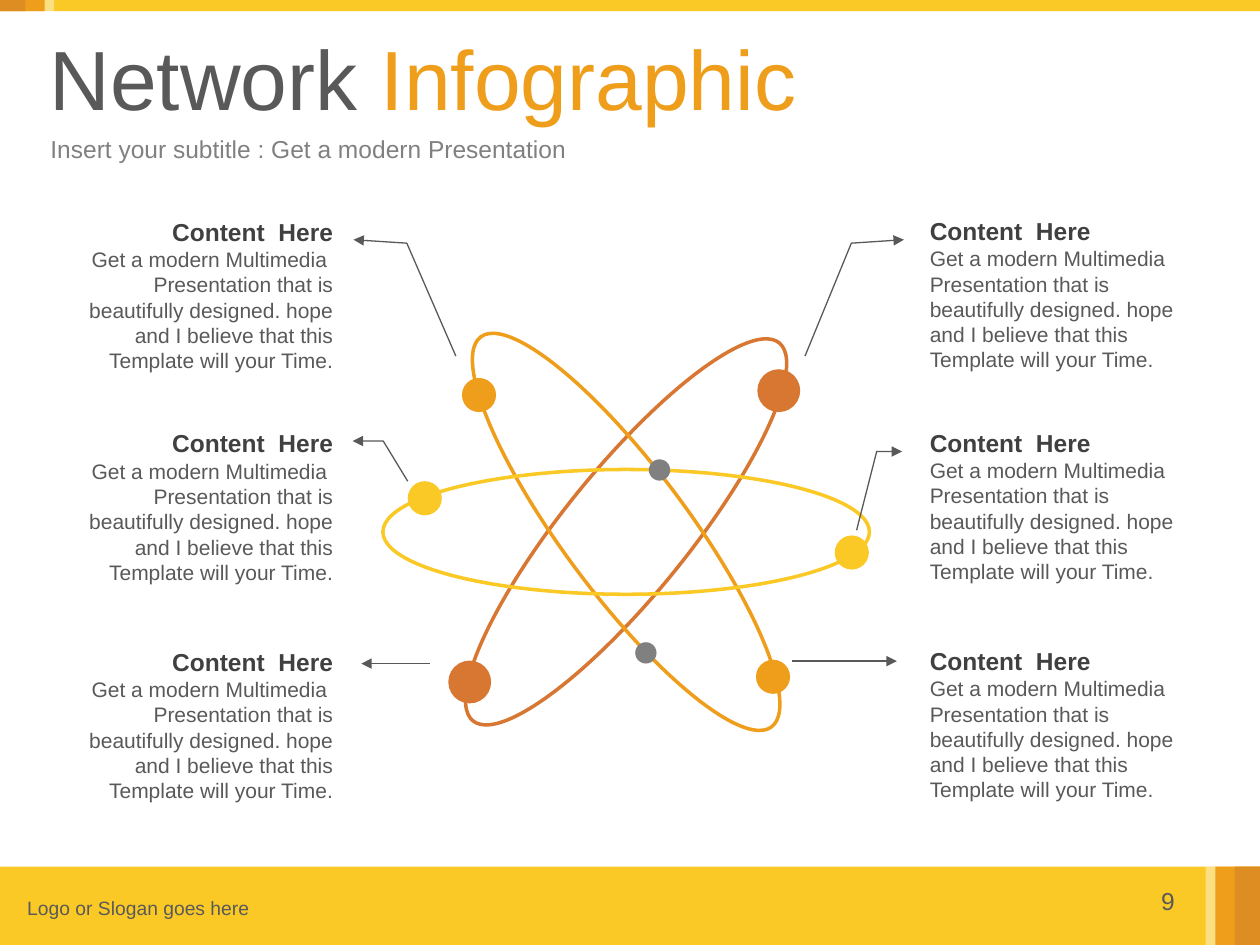
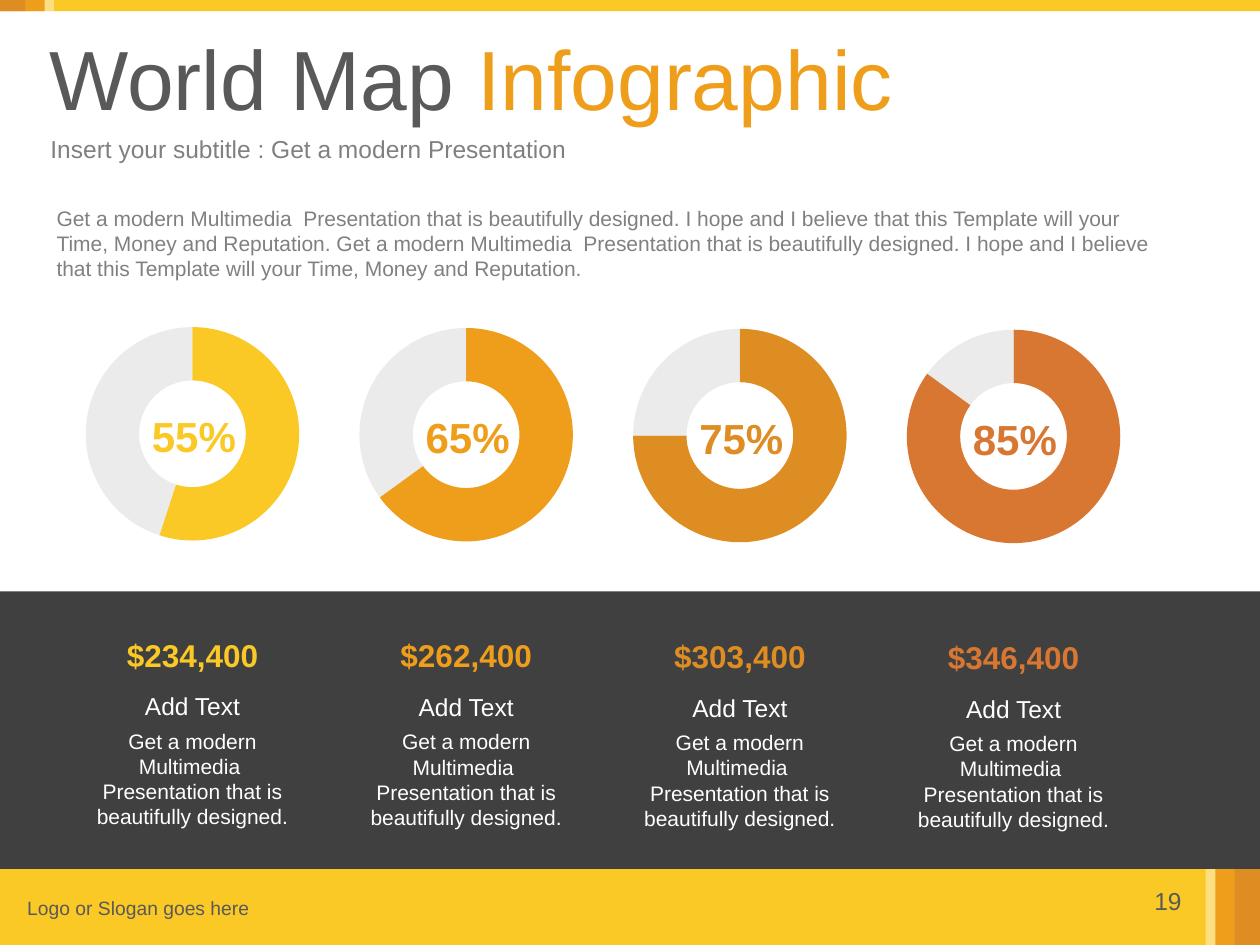
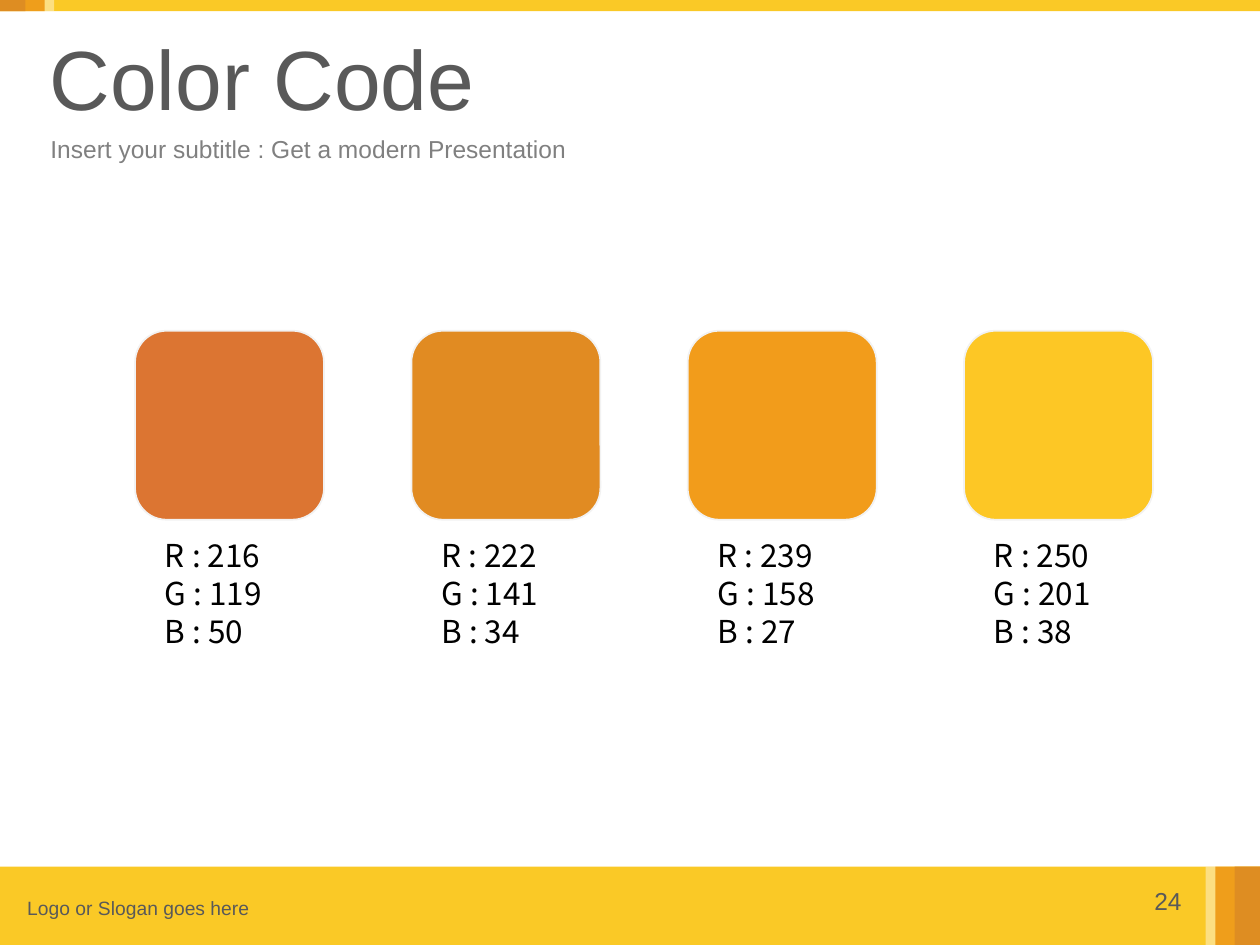
from dataclasses import dataclass

from lxml.etree import SubElement
from pptx import Presentation
from pptx.chart.data import CategoryChartData
from pptx.dml.color import RGBColor
from pptx.enum.chart import XL_CHART_TYPE
from pptx.enum.shapes import MSO_CONNECTOR, MSO_SHAPE
from pptx.enum.text import MSO_ANCHOR, MSO_AUTO_SIZE, PP_ALIGN
from pptx.oxml.ns import qn
from pptx.util import Pt

COLORS = {
    "yellow": "FAC926",
    "orange": "EF9E1B",
    "ochre": "DE8D22",
    "rust": "D87732",
    "white": "FFFFFF",
    "black": "000000",
    "charcoal": "404040",
    "slate": "595959",
    "gray": "808080",
    "track": "D9D9D9",
    "outline": "F2F2F2",
    "swatch rust": "DC7532",
    "swatch ochre": "E18B22",
    "swatch orange": "F29C1B",
    "swatch yellow": "FDC725",
}
SLIDE_WIDTH, SLIDE_HEIGHT = 720, 540
FONT, CODE_FONT = "Arial", "Noto Sans CJK KR"

SUBTITLE = "Insert your subtitle : Get a modern Presentation"
SLOGAN = "Logo or Slogan goes here"
LEAD = "Get a modern Multimedia  Presentation that is beautifully designed."
CALLOUT_BODY = f"{LEAD} hope and I believe that this Template will your Time."
PROMISE = f"{LEAD} I hope and I believe that this Template will your Time, Money and Reputation."


@dataclass(frozen=True)
class Stripe:
    width: float
    color: str
    opacity: int = 100


@dataclass(frozen=True)
class Orbit:
    rotation: float
    color: str


@dataclass(frozen=True)
class Electron:
    left: float
    top: float
    diameter: float
    color: str


@dataclass(frozen=True)
class Column:
    left: float
    first_top: float
    align: PP_ALIGN


@dataclass(frozen=True)
class Share:
    percent: int
    amount: str
    color: str


@dataclass(frozen=True)
class Swatch:
    color: str
    red: int
    green: int
    blue: int


# Content
STRIPES = [
    Stripe(SLIDE_WIDTH, "yellow"),
    Stripe(31, "white", 42),
    Stripe(25.5, "orange"),
    Stripe(14.5, "ochre"),
]
ORBITS = [Orbit(309, "rust"), Orbit(53.3, "orange"), Orbit(0, "yellow")]
ELECTRONS = [
    Electron(432.8, 211, 24.5, "rust"),
    Electron(256.2, 377.5, 24.5, "rust"),
    Electron(264, 216, 19.5, "orange"),
    Electron(432, 377, 19.5, "orange"),
    Electron(477, 306, 19.5, "yellow"),
    Electron(233, 275, 19.5, "yellow"),
    Electron(370.8, 262.5, 12.2, "gray"),
    Electron(363, 367, 12.2, "gray"),
]
POINTERS = [
    [(460, 203.5), (486.5, 139), (516.5, 137)],
    [(489.5, 303), (501, 258), (515.5, 258)],
    [(452.5, 377.8), (512.5, 377.8)],
    [(260.5, 203.5), (232.5, 139), (202, 137)],
    [(245.5, 379.2), (206.5, 379.2)],
    [(233, 275), (219, 252), (201.5, 252)],
]
CALLOUT_COLUMNS = [
    Column(524.2, 119.5, PP_ALIGN.LEFT),
    Column(33, 120, PP_ALIGN.RIGHT),
]
CALLOUT_DROPS = (0, 121, 245.7)
SHARES = [
    Share(55, "$234,400", "yellow"),
    Share(65, "$262,400", "orange"),
    Share(75, "$303,400", "ochre"),
    Share(85, "$346,400", "rust"),
]
SWATCHES = [
    Swatch("swatch rust", 216, 119, 50),
    Swatch("swatch ochre", 222, 141, 34),
    Swatch("swatch orange", 239, 158, 27),
    Swatch("swatch yellow", 250, 201, 38),
]


# Drawing helpers
def rgb(color: str) -> RGBColor:
    return RGBColor.from_string(COLORS[color])


def set_opacity(element, color: str, percent: int) -> None:
    for node in element.iter(qn("a:srgbClr")):
        if node.get("val") == COLORS[color]:
            SubElement(node, qn("a:alpha")).set("val", str(percent * 1000))


def write(paragraph, text: str, *, size: float, color: str, bold: bool = False,
          font: str = FONT, align: PP_ALIGN = PP_ALIGN.LEFT) -> None:
    paragraph.alignment = align
    run = paragraph.add_run()
    run.text = text
    run.font.name = font
    run.font.size = Pt(size)
    run.font.bold = bold
    run.font.color.rgb = rgb(color)


def add_text(slide, text: str, left: float, top: float, width: float, height: float, *,
             anchor: MSO_ANCHOR = MSO_ANCHOR.TOP, wrap: bool = True, inset: float = 7.2,
             leading: float | None = None, **style) -> None:
    frame = slide.shapes.add_textbox(Pt(left), Pt(top), Pt(width), Pt(height)).text_frame
    frame.word_wrap = wrap
    frame.auto_size = MSO_AUTO_SIZE.SHAPE_TO_FIT_TEXT
    frame.vertical_anchor = anchor
    frame.margin_left = Pt(inset)
    for index, line in enumerate(text.split("\n")):
        paragraph = frame.add_paragraph() if index else frame.paragraphs[0]
        if leading:
            paragraph.line_spacing = leading
        write(paragraph, line, **style)


def add_figure(slide, preset: MSO_SHAPE, left: float, top: float, width: float, height: float, *,
               fill: str | None = None, line: str | None = None, weight: float = 1):
    figure = slide.shapes.add_shape(preset, Pt(left), Pt(top), Pt(width), Pt(height))
    figure.shadow.inherit = False
    if fill:
        figure.fill.solid()
        figure.fill.fore_color.rgb = rgb(fill)
    else:
        figure.fill.background()
    if line:
        figure.line.color.rgb = rgb(line)
        figure.line.width = Pt(weight)
    else:
        figure.line.fill.background()
    return figure


def add_pointer(slide, points: list[tuple[float, float]]) -> None:
    corners = [(Pt(x), Pt(y)) for x, y in points]
    if len(corners) == 2:
        pointer = slide.shapes.add_connector(MSO_CONNECTOR.STRAIGHT, *corners[0], *corners[1])
    else:
        builder = slide.shapes.build_freeform(*corners[0])
        builder.add_line_segments(corners[1:], close=False)
        pointer = builder.convert_to_shape()
        pointer.fill.background()
    pointer.line.color.rgb = rgb("slate")
    pointer.line.width = Pt(0.75)
    properties = pointer.element.spPr
    SubElement(properties.find(qn("a:ln")), qn("a:tailEnd")).set("type", "triangle")
    SubElement(properties, qn("a:effectLst"))


def add_doughnut(slide, share: Share, left: float, top: float) -> None:
    width, height, diameter = 142, 171.5, 122
    data = CategoryChartData()
    data.categories = ["1", "2"]
    data.add_series("Series 1", (share.percent, 100 - share.percent))
    chart = slide.shapes.add_chart(
        XL_CHART_TYPE.DOUGHNUT, Pt(left), Pt(top), Pt(width), Pt(height), data).chart
    chart.has_legend = False
    chart.has_title = False
    chart.font.name = CODE_FONT
    chart.font.size = Pt(18)
    chart.font.color.rgb = rgb("black")
    plot = chart.plots[0]
    plot.vary_by_categories = True
    plot.has_data_labels = False
    for index, color in enumerate((share.color, "track")):
        point = plot.series[0].points[index].format
        point.fill.solid()
        point.fill.fore_color.rgb = rgb(color)
        point.line.fill.background()
    set_opacity(chart.element, "track", 50)
    chart.element.find(".//" + qn("c:holeSize")).set("val", "80")

    # Centre a round plot area in the frame
    area = chart.element.find(".//" + qn("c:plotArea"))
    for automatic in area.findall(qn("c:layout")):
        area.remove(automatic)
    layout = SubElement(area, qn("c:layout"))
    area.insert(0, layout)
    manual = SubElement(layout, qn("c:manualLayout"))
    across, down = diameter / width, diameter / height
    settings = {
        "layoutTarget": "inner", "xMode": "edge", "yMode": "edge",
        "x": (1 - across) / 2, "y": (1 - down) / 2, "w": across, "h": down,
    }
    for name, value in settings.items():
        SubElement(manual, qn(f"c:{name}")).set("val", str(value))


# Shared slide frame
def add_band(slide, top: float, height: float, from_right: bool) -> None:
    for stripe in STRIPES:
        left = SLIDE_WIDTH - stripe.width if from_right else 0
        band = add_figure(slide, MSO_SHAPE.RECTANGLE, left, top, stripe.width, height,
                          fill=stripe.color)
        if stripe.opacity < 100:
            set_opacity(band.element, stripe.color, stripe.opacity)


def add_framed_slide(deck, number: int, title: str, accent: str = ""):
    slide = deck.slides.add_slide(deck.slide_layouts[5])
    add_band(slide, 495.2, 45, from_right=True)
    add_band(slide, -2, 8.4, from_right=False)
    add_text(slide, str(number), 651.6, 502.5, 31.7, 24.5, wrap=False,
             size=14, color="slate", align=PP_ALIGN.CENTER)
    add_text(slide, SLOGAN, 8.5, 508.5, 198.7, 20.6, anchor=MSO_ANCHOR.MIDDLE,
             size=11, color="slate")

    heading = slide.shapes.title
    heading.left, heading.top, heading.width, heading.height = Pt(0), Pt(16), Pt(720), Pt(56)
    frame = heading.text_frame
    frame.auto_size = MSO_AUTO_SIZE.NONE
    frame.vertical_anchor = MSO_ANCHOR.MIDDLE
    frame.margin_left = Pt(28.3)
    write(frame.paragraphs[0], title, size=48, color="slate")
    if accent:
        write(frame.paragraphs[0], accent, size=48, color="orange")
    add_text(slide, SUBTITLE, 0.5, 72.8, 719, 24, anchor=MSO_ANCHOR.MIDDLE, inset=28.3,
             size=14, color="gray")
    return slide


# Slides
def build_network(deck) -> None:
    slide = add_framed_slide(deck, 9, "Network ", "Infographic")
    for orbit in ORBITS:
        ring = add_figure(slide, MSO_SHAPE.OVAL, 218.8, 268.3, 278, 71.3,
                          line=orbit.color, weight=2)
        ring.rotation = orbit.rotation
    for electron in ELECTRONS:
        add_figure(slide, MSO_SHAPE.OVAL, electron.left, electron.top,
                   electron.diameter, electron.diameter, fill=electron.color)
    for points in POINTERS:
        add_pointer(slide, points)
    for column in CALLOUT_COLUMNS:
        for drop in CALLOUT_DROPS:
            top = column.first_top + drop
            add_text(slide, "Content  Here", column.left, top, 164.5, 24.5,
                     anchor=MSO_ANCHOR.MIDDLE, size=14, color="charcoal", bold=True,
                     align=column.align)
            add_text(slide, CALLOUT_BODY, column.left, top + 17.5, 164.5, 80,
                     size=12, color="slate", align=column.align)


def build_shares(deck) -> None:
    slide = add_framed_slide(deck, 19, "World Map ", "Infographic")
    add_figure(slide, MSO_SHAPE.RECTANGLE, 0, 338, SLIDE_WIDTH, 158.5, fill="charcoal")
    add_text(slide, f"{PROMISE} {PROMISE}", 25.2, 113.8, 652.5, 65.5, size=12, color="gray")
    for index, share in enumerate(SHARES):
        left, drop = 39 + 156.4 * index, 0.5 * index
        label = {"align": PP_ALIGN.CENTER}
        figure = label | {"anchor": MSO_ANCHOR.MIDDLE, "color": share.color, "bold": True}
        add_doughnut(slide, share, left, 162.2 + drop)
        add_text(slide, f"{share.percent}%", left + 31.5, 231 + drop, 80.6, 36,
                 size=24, **figure)
        add_text(slide, share.amount, left + 2.5, 359.5 + drop, 137, 29, size=18, **figure)
        add_text(slide, "Add Text", left + 2.5, 391.5 + drop, 137, 24.5,
                 size=14, color="white", **label)
        add_text(slide, LEAD, left + 0.8, 412.5 + drop, 140.4, 65.5,
                 size=12, color="white", **label)


def build_color_code(deck) -> None:
    slide = add_framed_slide(deck, 24, "Color Code")
    for index, swatch in enumerate(SWATCHES):
        left = 77.2 + 157.9 * index
        add_figure(slide, MSO_SHAPE.ROUNDED_RECTANGLE, left, 189, 108, 108,
                   fill=swatch.color, line="outline")
        channels = f"R : {swatch.red}\nG : {swatch.green}\nB : {swatch.blue}"
        add_text(slide, channels, left + 10, 303, 74, 72.7, wrap=False,
                 size=18, color="black", font=CODE_FONT)


def main() -> None:
    deck = Presentation()
    deck.slide_width, deck.slide_height = Pt(SLIDE_WIDTH), Pt(SLIDE_HEIGHT)
    build_network(deck)
    build_shares(deck)
    build_color_code(deck)
    deck.save("out.pptx")


if __name__ == "__main__":
    main()
